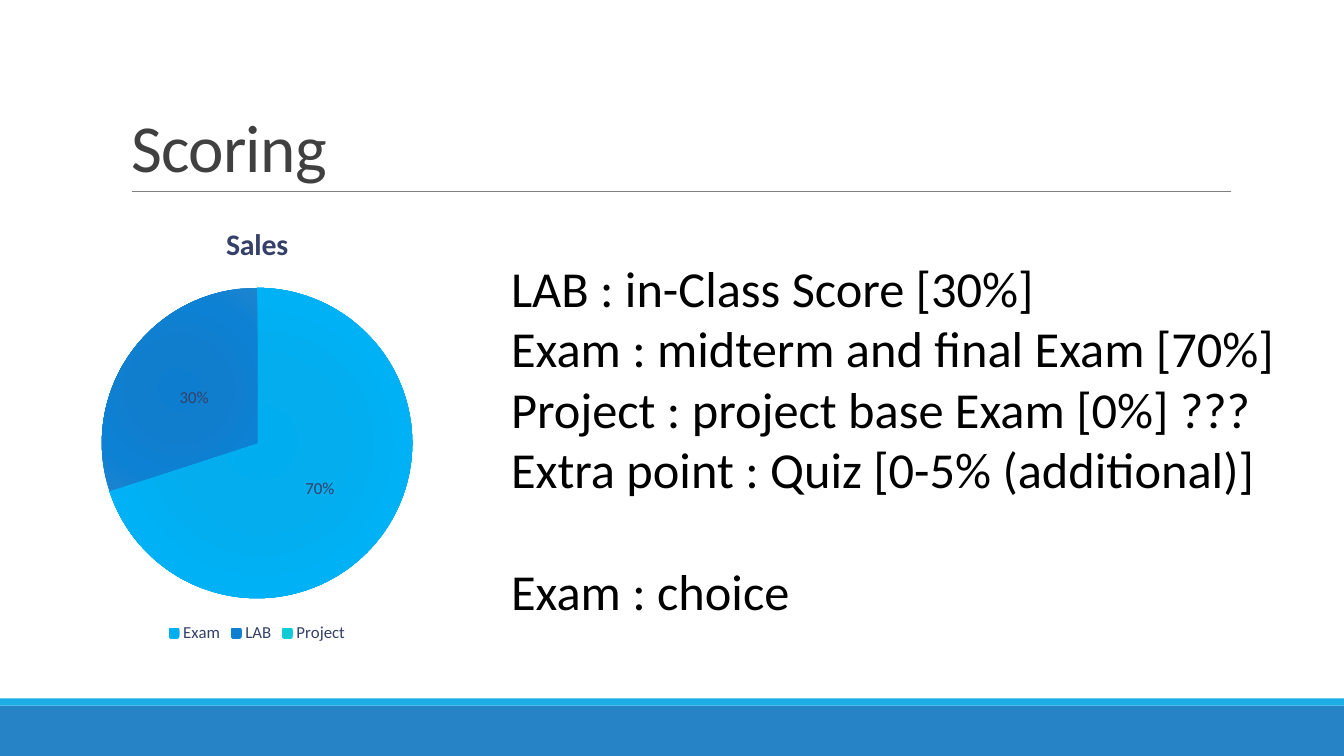
from lxml import etree
from pptx import Presentation
from pptx.chart.data import CategoryChartData
from pptx.dml.color import RGBColor
from pptx.enum.chart import XL_CHART_TYPE, XL_LABEL_POSITION, XL_LEGEND_POSITION
from pptx.enum.shapes import MSO_CONNECTOR, MSO_SHAPE
from pptx.enum.text import MSO_ANCHOR, PP_ALIGN
from pptx.oxml import parse_xml
from pptx.oxml.ns import nsdecls, qn
from pptx.util import Inches, Pt

COLORS = {
    "footer": "2683C6", "stripe": "1CADE4", "rule": "808080",
    "title": "404040", "body": "000000", "chart_text": "344068",
}
SLICES = [
    ("Exam", 70, ["00ADEF", "03ADEE", "00B1F5", "12B1EE"]),
    ("LAB", 30, ["0D7ECF", "117ECD", "0D81D4", "1E84CE"]),
    ("Project", 0, ["0ECBD5", "12CAD3", "0FD0DA", "20CBD4"]),
]
GRADIENT_STOPS = [0, 34, 70, 100]
SCORING_LINES = [
    "LAB : in-Class Score [30%]",
    "Exam : midterm and final Exam [70%]",
    "Project : project base Exam [0%] ???",
    "Extra point : Quiz [0-5% (additional)]",
    "Exam : choice",
]


def set_font(font, size, color, bold=False):
    font.name = "Calibri"
    font.size = Pt(size)
    font.bold = bold
    font.color.rgb = RGBColor.from_string(COLORS[color])


presentation = Presentation()
presentation.slide_width = Inches(13.33)
presentation.slide_height = Inches(7.5)
slide = presentation.slides.add_slide(presentation.slide_layouts[5])

# Footer bands
for color, top, height in [("footer", 7, 0.5), ("stripe", 6.93, 0.07)]:
    band = slide.shapes.add_shape(
        MSO_SHAPE.RECTANGLE, 0, Inches(top), presentation.slide_width, Inches(height))
    band.shadow.inherit = False
    band.fill.solid()
    band.fill.fore_color.rgb = RGBColor.from_string(COLORS[color])
    band.line.fill.background()

# Rule under the title
rule = slide.shapes.add_connector(
    MSO_CONNECTOR.STRAIGHT, Inches(1.31), Inches(1.9), Inches(12.21), Inches(1.9))
rule.line.color.rgb = RGBColor.from_string(COLORS["rule"])
rule.line.width = Pt(0.5)
etree.SubElement(rule._element.spPr, qn("a:effectLst"))

# Title
title = slide.shapes.title
title.left, title.top = Inches(1.2), Inches(0.31)
title.width, title.height = Inches(11), Inches(1.59)
title.text_frame.text = "Scoring"
title.text_frame.vertical_anchor = MSO_ANCHOR.BOTTOM
paragraph = title.text_frame.paragraphs[0]
paragraph.alignment = PP_ALIGN.LEFT
paragraph.line_spacing = 0.85
set_font(paragraph.font, 48, "title")
paragraph.runs[0]._r.get_or_add_rPr().set("spc", "-50")

# Pie chart
chart_data = CategoryChartData()
chart_data.categories = [name for name, _, _ in SLICES]
chart_data.add_series("Sales", [value for _, value, _ in SLICES])
chart = slide.shapes.add_chart(
    XL_CHART_TYPE.PIE, Inches(0.67), Inches(2.02), Inches(3.76), Inches(4.4), chart_data).chart
set_font(chart.font, 10, "body")
chart.has_title = True
chart.chart_title.text_frame.text = "Sales"
set_font(chart.chart_title.text_frame.paragraphs[0].font, 21.3, "chart_text", bold=True)
chart.has_legend = True
chart.legend.position = XL_LEGEND_POSITION.BOTTOM
chart.legend.include_in_layout = False
set_font(chart.legend.font, 12, "chart_text")

# Plot area position inside the chart
plot_area = chart._chartSpace.chart.plotArea
for layout in plot_area.findall(qn("c:layout")):
    plot_area.remove(layout)
plot_area.insert(0, parse_xml(
    f'<c:layout {nsdecls("c")}><c:manualLayout><c:layoutTarget val="inner"/>'
    '<c:xMode val="edge"/><c:yMode val="edge"/><c:x val="0.09"/><c:y val="0.19"/>'
    '<c:w val="0.82"/><c:h val="0.7"/></c:manualLayout></c:layout>'))

# Slice gradients
chart.plots[0].vary_by_categories = True
series = chart.plots[0].series[0]
for index, (_, _, shades) in enumerate(SLICES):
    slice_format = series.points[index].format
    slice_format.fill.solid()
    slice_format.line.fill.background()
    properties = series._element.findall(qn("c:dPt"))[index].find(qn("c:spPr"))
    stops = "".join(
        f'<a:gs pos="{stop * 1000}"><a:srgbClr val="{shade}"/></a:gs>'
        for stop, shade in zip(GRADIENT_STOPS, shades))
    gradient = parse_xml(
        f'<a:gradFill {nsdecls("a")} rotWithShape="1"><a:gsLst>{stops}</a:gsLst>'
        '<a:path path="circle"><a:fillToRect l="100000" t="100000" r="100000" b="100000"/>'
        '</a:path></a:gradFill>')
    properties.replace(properties.find(qn("a:solidFill")), gradient)

# Percent labels, none on the empty slice
labels = series.data_labels
labels.show_percentage = True
labels.show_value = False
labels.position = XL_LABEL_POSITION.CENTER
set_font(labels.font, 12, "chart_text")
labels._element.insert(0, parse_xml(
    f'<c:dLbl {nsdecls("c")}><c:idx val="2"/><c:delete val="1"/></c:dLbl>'))

# Scoring breakdown
text_frame = slide.shapes.add_textbox(
    Inches(4.97), Inches(2.5), Inches(8.15), Inches(3.74)).text_frame
text_frame.word_wrap = False
for index, line in enumerate(SCORING_LINES):
    paragraph = text_frame.paragraphs[0] if index == 0 else text_frame.add_paragraph()
    paragraph.text = line
    set_font(paragraph.font, 36, "body")
paragraph.space_before = Pt(44)

presentation.save("out.pptx")
